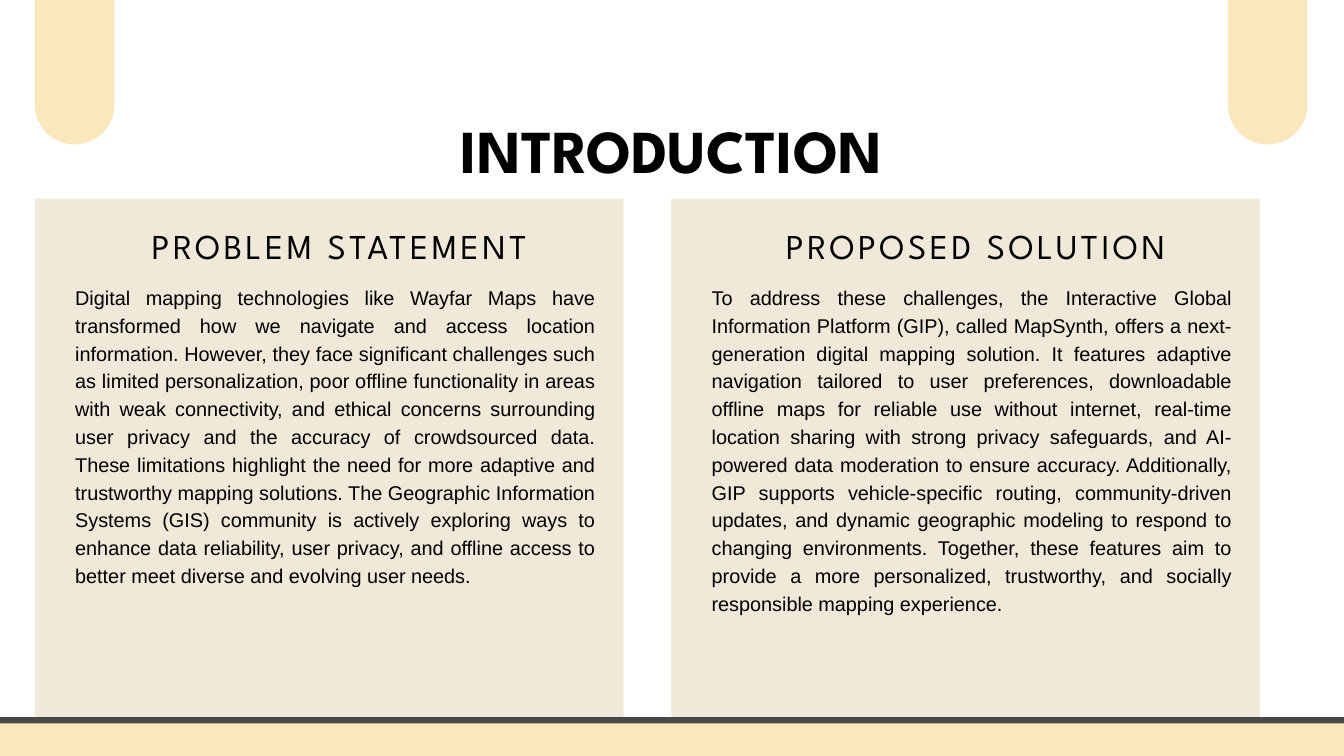
"""Build the Introduction slide: problem statement and proposed solution side by side."""
from pptx import Presentation
from pptx.dml.color import RGBColor
from pptx.enum.shapes import MSO_SHAPE as SHAPE
from pptx.enum.text import MSO_ANCHOR as ANCHOR, MSO_AUTO_SIZE as AUTO, PP_ALIGN as ALIGN
from pptx.util import Pt

CREAM = RGBColor(0xFA, 0xE7, 0xBC)
SAND = RGBColor(0xF0, 0xE9, 0xD9)
GREY = RGBColor(0x49, 0x48, 0x48)
BLACK = RGBColor(0, 0, 0)

HEAD_FONT = "League Spartan"
BODY_FONT = "Arial"
COLUMN_STEP = 681.9

COLUMNS = [
    ("PROBLEM STATEMENT",
     "Digital mapping technologies like Wayfar Maps have transformed how we navigate and "
     "access location information. However, they face significant challenges such as limited "
     "personalization, poor offline functionality in areas with weak connectivity, and ethical "
     "concerns surrounding user privacy and the accuracy of crowdsourced data. These "
     "limitations highlight the need for more adaptive and trustworthy mapping solutions. The "
     "Geographic Information Systems (GIS) community is actively exploring ways to enhance "
     "data reliability, user privacy, and offline access to better meet diverse and evolving "
     "user needs."),
    ("PROPOSED SOLUTION",
     "To address these challenges, the Interactive Global Information Platform (GIP), called "
     "MapSynth, offers a next-generation digital mapping solution. It features adaptive "
     "navigation tailored to user preferences, downloadable offline maps for reliable use "
     "without internet, real-time location sharing with strong privacy safeguards, and "
     "AI-powered data moderation to ensure accuracy. Additionally, GIP supports "
     "vehicle-specific routing, community-driven updates, and dynamic geographic modeling to "
     "respond to changing environments. Together, these features aim to provide a more "
     "personalized, trustworthy, and socially responsible mapping experience."),
]


def add_block(kind, x, y, w, h, color):
    sp = s.shapes.add_shape(kind, Pt(x), Pt(y), Pt(w), Pt(h))
    sp.shadow.inherit = False
    sp.fill.solid()
    sp.fill.fore_color.rgb = color
    sp.line.fill.background()
    return sp


def write(sp, text, size, font, leading, align, bold=False):
    tf = sp.text_frame
    tf.text = text
    tf.word_wrap = True
    tf.auto_size = AUTO.NONE
    tf.vertical_anchor = ANCHOR.TOP
    tf.margin_left = tf.margin_top = tf.margin_right = tf.margin_bottom = 0
    p = tf.paragraphs[0]
    p.alignment = align
    p.line_spacing = Pt(leading)
    p.space_before = Pt(0)
    r = p.runs[0]
    r.font.name = font
    r.font.size = Pt(size)
    r.font.bold = bold
    r.font.color.rgb = BLACK
    return r


prs = Presentation()
prs.slide_width, prs.slide_height = Pt(1440), Pt(810)
s = prs.slides.add_slide(prs.slide_layouts[5])

title = s.shapes.title
title.left, title.top, title.width, title.height = Pt(337.7), Pt(107.3), Pt(763.9), Pt(87.1)
write(title, "INTRODUCTION", 65.3, HEAD_FONT, 91.4, ALIGN.CENTER, bold=True)

for x in (37.4, 1315.6):
    pill = add_block(SHAPE.ROUNDED_RECTANGLE, x, -77.8, 85.2, 232.6, CREAM)
    pill.adjustments[0] = 0.5

for i, (heading, body) in enumerate(COLUMNS):
    dx = i * COLUMN_STEP
    add_block(SHAPE.RECTANGLE, 37.4 + dx, 213.1, 630.7, 599, SAND)
    sp = s.shapes.add_textbox(Pt(54.7 + dx), Pt(245.5), Pt(617.8), Pt(40.3))
    r = write(sp, heading, 37.4, HEAD_FONT, 39.6, ALIGN.CENTER)
    r.font._element.set("spc", "370")
    sp = s.shapes.add_textbox(Pt(80.6 + dx), Pt(301.7), Pt(557.3), Pt(350.6))
    write(sp, body, 21.3, BODY_FONT, 29.8, ALIGN.JUSTIFY)

band = add_block(SHAPE.ROUNDED_RECTANGLE, -42.5, 771.8, 1523.5, 64.8, CREAM)
band.adjustments[0] = 0.1
band.line.color.rgb = GREY
band.line.width = Pt(6.75)

prs.save("out.pptx")
